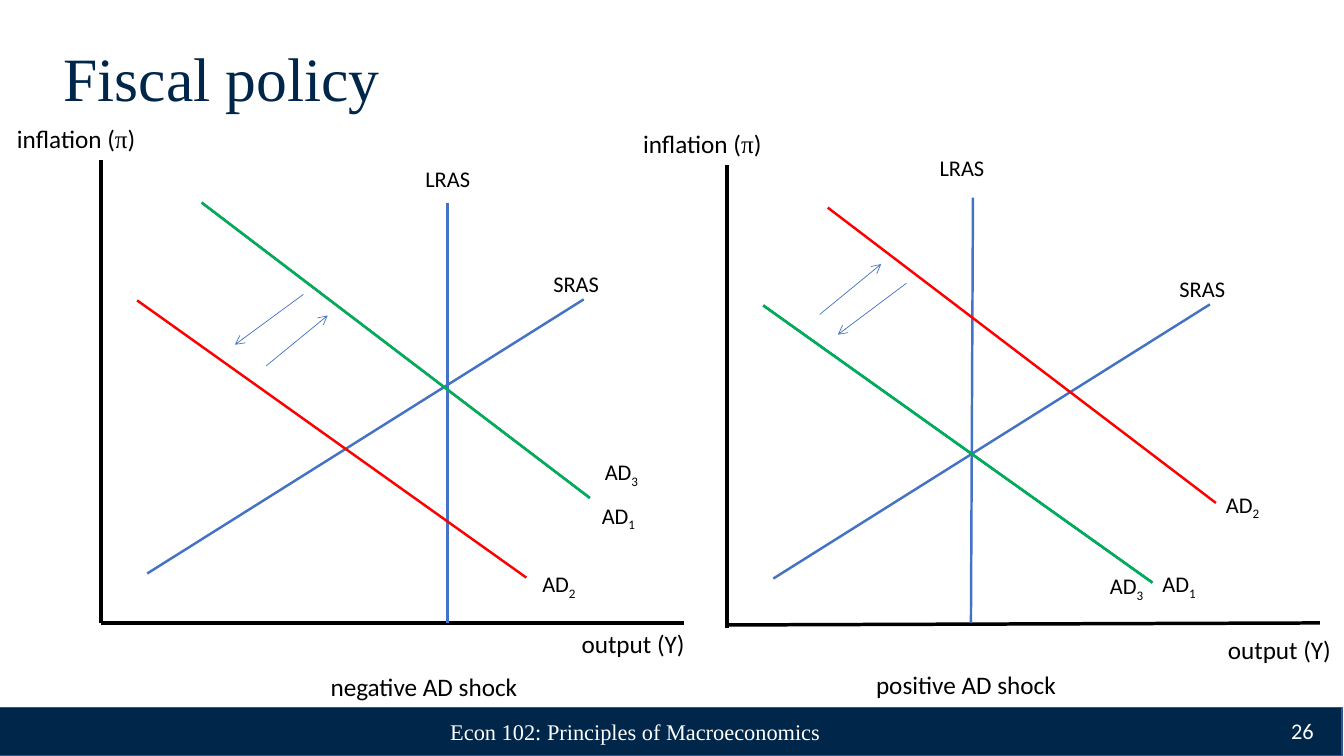
"""Build the fiscal policy slide with two demand shock diagrams."""
from dataclasses import dataclass

from lxml.etree import SubElement
from pptx import Presentation
from pptx.dml.color import RGBColor
from pptx.enum.shapes import MSO_CONNECTOR, MSO_SHAPE
from pptx.enum.text import MSO_ANCHOR, MSO_AUTO_SIZE, PP_ALIGN
from pptx.oxml.ns import qn
from pptx.slide import Slide
from pptx.util import Cm, Length, Pt

COLORS = {
    "navy": "00264A", "edge": "325491", "white": "FFFFFF", "black": "000000",
    "blue": "4472C4", "azure": "0070C0", "red": "FF0000", "green": "00B050",
}
SERIF, SANS = "Times New Roman", "Calibri"
LEFT, RIGHT = (0, 0), (6.21, 0.05)
UPPER = (2, 2.01, 5.85, 4.94)
LOWER = (1.36, 2.98, 5.22, 5.73)


@dataclass
class Line:
    ends: tuple[float, float, float, float]
    color: str = "blue"
    width: float = 1.75
    arrow: bool = False
    shift: tuple[float, float] = LEFT


@dataclass
class Label:
    text: str
    box: tuple[float, float, float, float]
    size: int = 16
    shift: tuple[float, float] = LEFT


@dataclass
class Banner:
    text: str
    box: tuple[float, float, float, float]
    size: int
    font: str
    color: str
    align: PP_ALIGN


def inch(value: float) -> Length:
    """Turn inches into a length."""
    return Cm(value * 2.54)


def paint(name: str) -> RGBColor:
    """Look up a named colour."""
    return RGBColor.from_string(COLORS[name])


def add_line(slide: Slide, line: Line) -> None:
    """Draw one straight line or arrow."""
    dx, dy = line.shift
    x1, y1, x2, y2 = line.ends
    shape = slide.shapes.add_connector(
        MSO_CONNECTOR.STRAIGHT,
        inch(x1 + dx), inch(y1 + dy), inch(x2 + dx), inch(y2 + dy))
    shape.line.color.rgb = paint(line.color)
    shape.line.width = Pt(line.width)
    props = shape._element.spPr
    if line.arrow:
        SubElement(props.find(qn("a:ln")), qn("a:tailEnd"), type="arrow")
    SubElement(props, qn("a:effectLst"))


def add_run(para, text: str, size: int, font: str, color: str):
    """Append one styled run to a paragraph."""
    run = para.add_run()
    run.text = text
    for key, value in {"size": Pt(size), "name": font}.items():
        setattr(run.font, key, value)
    run.font.color.rgb = paint(color)
    return run


def add_label(slide: Slide, label: Label) -> None:
    """Write a diagram label; an underscore starts a subscript."""
    x, y, w, h = label.box
    dx, dy = label.shift
    frame = slide.shapes.add_textbox(
        inch(x + dx), inch(y + dy), inch(w), inch(h)).text_frame
    form = {"word_wrap": False, "auto_size": MSO_AUTO_SIZE.SHAPE_TO_FIT_TEXT}
    for key, value in form.items():
        setattr(frame, key, value)
    para = frame.paragraphs[0]
    main, _, sub = label.text.partition("_")
    head, greek, rest = main.partition("π")
    for text, font in ((head, SANS), (greek, SERIF), (rest, SANS)):
        if text:
            add_run(para, text, label.size, font, "black")
    if sub:
        run = add_run(para, sub, label.size, SANS, "black")
        run._r.get_or_add_rPr().set("baseline", "-25000")


def add_banner(slide: Slide, item: Banner) -> None:
    """Write the title or a footer text."""
    frame = slide.shapes.add_textbox(*map(inch, item.box)).text_frame
    form = {
        "word_wrap": True, "vertical_anchor": MSO_ANCHOR.MIDDLE,
        "margin_left": inch(0.13), "margin_right": inch(0.13),
        "margin_top": inch(0.07), "margin_bottom": inch(0.07),
    }
    for key, value in form.items():
        setattr(frame, key, value)
    para = frame.paragraphs[0]
    para.alignment = item.align
    para.line_spacing = 0.9 if item.size > 40 else 1.0
    add_run(para, item.text, item.size, item.font, item.color)


def add_bar(slide: Slide) -> None:
    """Draw the footer bar."""
    bar = slide.shapes.add_shape(
        MSO_SHAPE.RECTANGLE, *map(inch, (-0.02, 7.02, 13.33, 0.48)))
    bar.shadow.inherit = False
    bar.fill.solid()
    bar.fill.fore_color.rgb = paint("navy")
    bar.line.color.rgb = paint("edge")
    bar.line.width = Pt(1)


BANNERS = [
    Banner("Fiscal policy", (0.5, 0.4, 12.33, 0.81), 44, SERIF, "navy", PP_ALIGN.LEFT),
    Banner("Econ 102: Principles of Macroeconomics", (4.05, 7.06, 4.5, 0.4),
           16, SERIF, "white", PP_ALIGN.CENTER),
    Banner("26", (12.23, 7.05, 0.93, 0.4), 16, SANS, "white", PP_ALIGN.RIGHT),
]
SHARED = [
    Line((1, 1.59, 1, 6.18), "black", 2.5),
    Line((1.46, 5.69, 5.79, 2.97)),
    Label("inflation (π)", (0.07, 1.17, 1.39, 0.4), 18),
    Label("SRAS", (5.39, 2.63, 0.66, 0.37)),
]
LINES = [
    Line((1, 6.18, 6.78, 6.18), "black", 2.5),
    Line((7.21, 6.2, 13.09, 6.18), "black", 2.5),
    Line((4.44, 6.18, 4.44, 2.01)),
    Line((9.63, 6.18, 9.65, 1.96)),
    Line(UPPER),
    Line(LOWER, "red"),
    Line(UPPER, "green"),
    Line(UPPER, "red", shift=RIGHT),
    Line(LOWER, "azure", shift=RIGHT),
    Line(LOWER, "green", shift=RIGHT),
    Line((3.01, 2.92, 2.33, 3.42), width=0.5, arrow=True),
    Line((2.64, 3.63, 3.25, 3.13), width=0.5, arrow=True),
    Line((8.99, 2.81, 8.31, 3.32), width=0.5, arrow=True),
    Line((8.13, 3.12, 8.74, 2.62), width=0.5, arrow=True),
]
LABELS = [
    Label("negative AD shock", (3.18, 6.61, 2.15, 0.4), 18),
    Label("positive AD shock", (8.59, 6.59, 2.08, 0.4), 18),
    Label("output (Y)", (5.67, 6.18, 1.24, 0.4), 18),
    Label("output (Y)", (12.08, 6.24, 1.24, 0.4), 18),
    Label("LRAS", (4.12, 1.59, 0.65, 0.37)),
    Label("LRAS", (9.22, 1.48, 0.65, 0.37)),
    Label("AD_1", (5.87, 4.93, 0.55, 0.37)),
    Label("AD_2", (5.28, 5.61, 0.55, 0.37)),
    Label("AD_3", (5.9, 4.5, 0.55, 0.37)),
    Label("AD_1", (11.43, 5.61, 0.55, 0.37)),
    Label("AD_2", (12.06, 4.82, 0.55, 0.37)),
    Label("AD_3", (10.91, 5.63, 0.55, 0.37)),
]


def main() -> None:
    """Build and save the deck."""
    deck = Presentation()
    deck.slide_width, deck.slide_height = inch(13.33), inch(7.5)
    slide = deck.slides.add_slide(deck.slide_layouts[6])
    add_bar(slide)
    for item in BANNERS:
        add_banner(slide, item)
    for shift in (LEFT, RIGHT):
        for part in SHARED:
            part.shift = shift
            draw = add_line if isinstance(part, Line) else add_label
            draw(slide, part)
    for line in LINES:
        add_line(slide, line)
    for label in LABELS:
        add_label(slide, label)
    deck.save("out.pptx")


if __name__ == "__main__":
    main()
